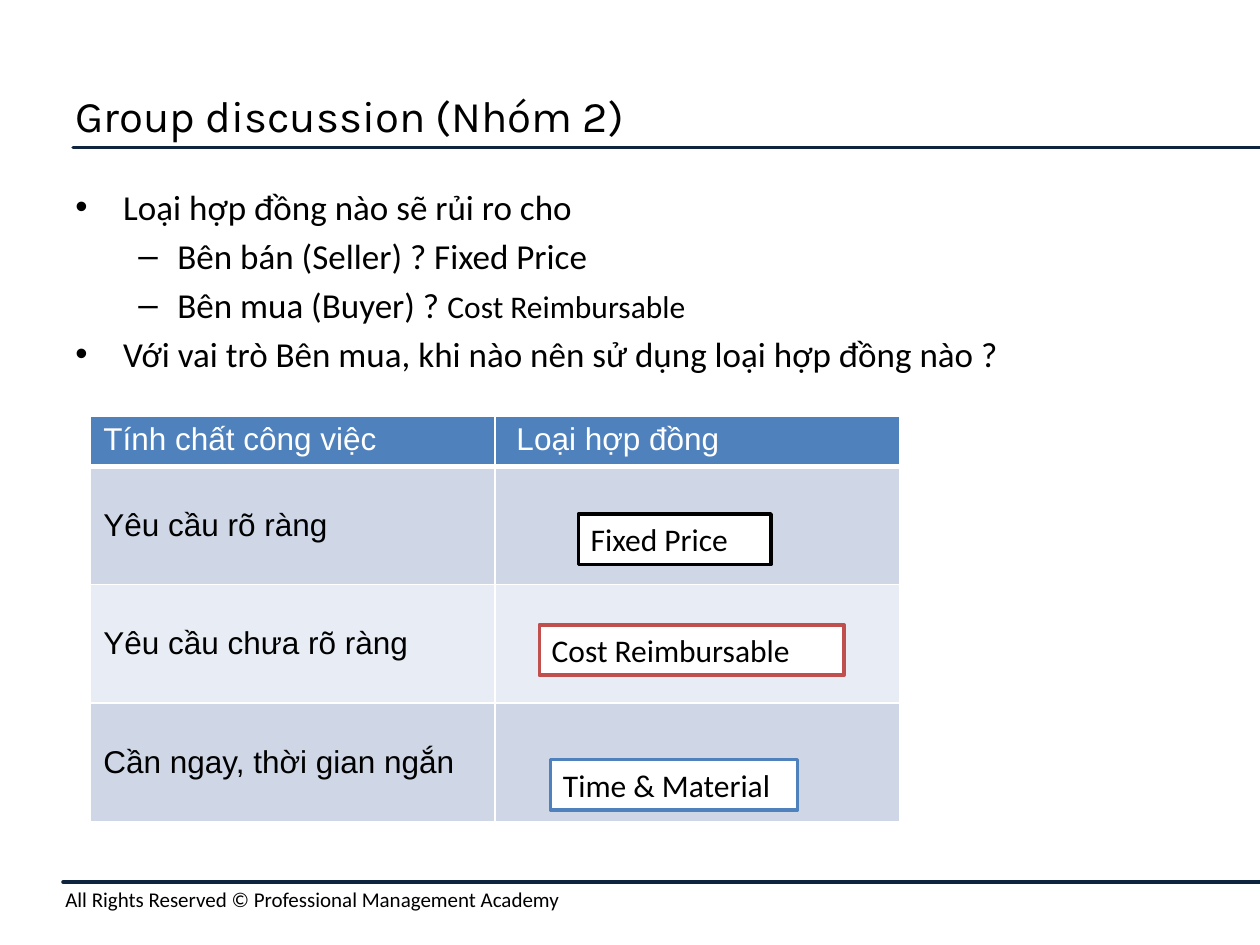
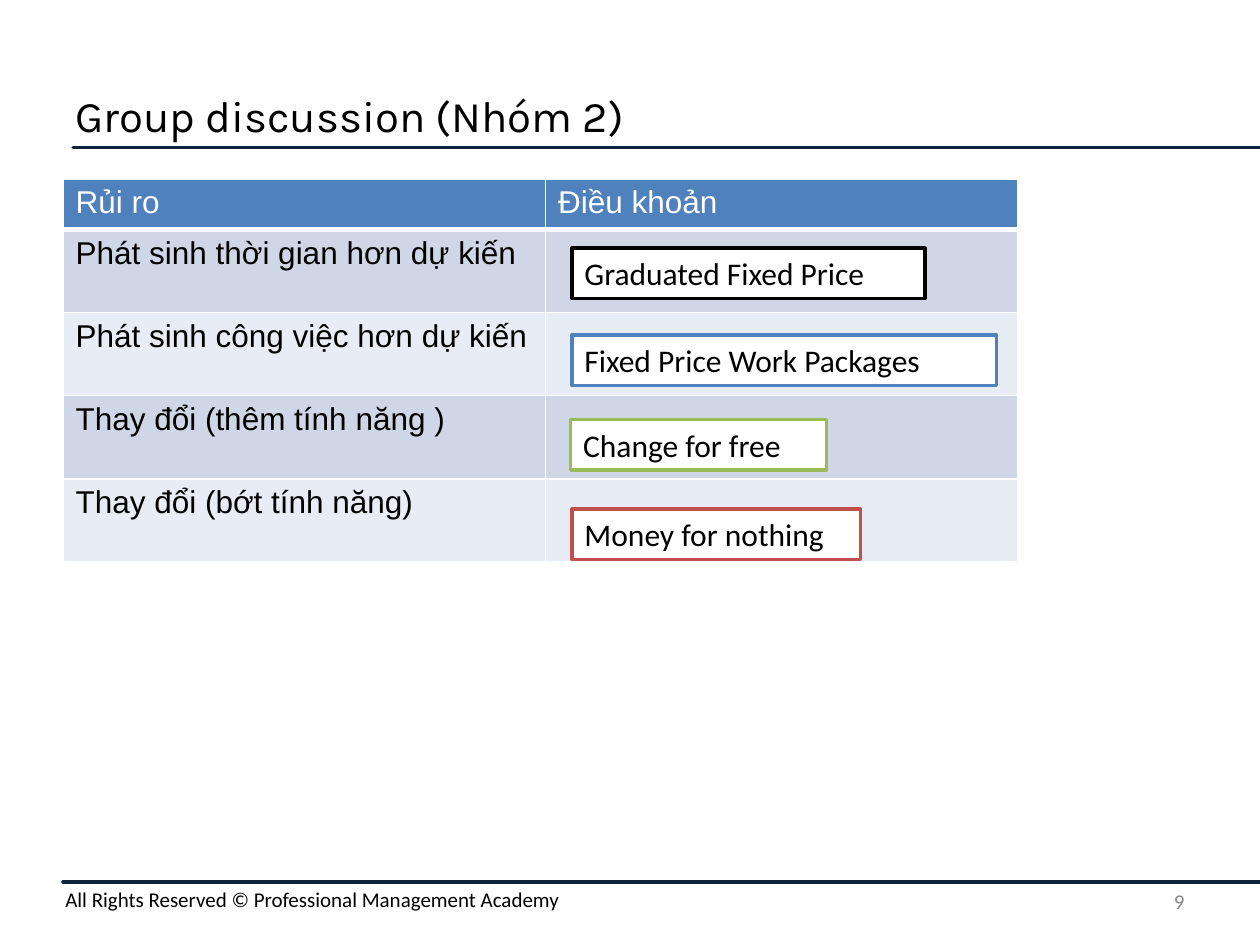
"""Build two group discussion slides on contract types and risk clauses."""
from lxml import etree
from pptx import Presentation
from pptx.dml.color import RGBColor
from pptx.enum.shapes import MSO_CONNECTOR, MSO_SHAPE
from pptx.enum.text import MSO_ANCHOR, PP_ALIGN
from pptx.oxml.ns import qn
from pptx.util import Inches, Pt

TOP, MIDDLE = MSO_ANCHOR.TOP, MSO_ANCHOR.MIDDLE
LEFT, RIGHT = PP_ALIGN.LEFT, PP_ALIGN.RIGHT
RECTANGLE, STRAIGHT = MSO_SHAPE.RECTANGLE, MSO_CONNECTOR.STRAIGHT

COLUMNS, ROWS = 40, 30
COLORS = {
    "black": "000000", "white": "FFFFFF", "navy": "0F243E", "grey": "888888",
    "blue": "4F81BD", "red": "C0504D", "green": "9BBB59",
    "band_dark": "CFD7E7", "band_light": "E8ECF4",
}
FONTS = {
    "title": ({"name": "Karla", "size": Pt(25)}, "black"),
    "body": ({"name": "Calibri", "size": Pt(20)}, "black"),
    "label": ({"name": "Calibri", "size": Pt(18)}, "black"),
    "footer": ({"name": "Calibri", "size": Pt(12)}, "black"),
    "number": ({"name": "Calibri", "size": Pt(12)}, "grey"),
    "head": ({"name": "Arial", "size": Pt(18), "bold": False}, "white"),
    "cell": ({"name": "Arial", "size": Pt(18), "bold": False}, "black"),
}
BULLETS = [("•", 1.52, 1.52), ("–", 3.24, 1.24)]
LABEL_HEIGHT = 1.6
TITLE = "Group discussion (Nhóm 2)"
FOOTER = "All Rights Reserved © Professional Management Academy"


class Painter:
    """Hold the deck style and draw elements on the current page."""

    def __init__(self):
        self.deck = Presentation()
        self.deck.slide_width, self.deck.slide_height = Inches(10), Inches(7.5)
        self.page = None

    def across(self, columns):
        return round(self.deck.slide_width * columns / COLUMNS)

    def down(self, rows):
        return round(self.deck.slide_height * rows / ROWS)

    def frame(self, left, top, width, height):
        return self.across(left), self.down(top), self.across(width), self.down(height)

    def color(self, name):
        return RGBColor.from_string(COLORS[name])

    def style(self, font, kind):
        values, color = FONTS[kind]
        for name, value in values.items():
            setattr(font, name, value)
        font.color.rgb = self.color(color)

    def add_span(self, para, text, kind):
        span = para.add_run()
        span.text = text
        self.style(span.font, kind)

    def outline(self, shape, color):
        shape.line.color.rgb = self.color(color)
        shape.line.width = Pt(2)

    def rule(self, left, top):
        line = self.page.shapes.add_connector(
            STRAIGHT, self.across(left), self.down(top), self.across(COLUMNS), self.down(top))
        self.outline(line, "navy")
        properties = line.element.spPr
        properties.find(qn("a:ln")).set("cap", "rnd")
        etree.SubElement(properties, qn("a:effectLst"))

    def text(self, place, text, kind, anchor=TOP, align=LEFT):
        box = self.page.shapes.add_textbox(*self.frame(*place))
        frame = box.text_frame
        frame.word_wrap, frame.vertical_anchor = True, anchor
        frame.paragraphs[0].alignment = align
        self.add_span(frame.paragraphs[0], text, kind)

    def bullets(self, place, items):
        frame = self.page.shapes.add_textbox(*self.frame(*place)).text_frame
        frame.word_wrap = True
        for index, (level, spans) in enumerate(items):
            para = frame.add_paragraph() if index else frame.paragraphs[0]
            mark, margin, hang = BULLETS[level]
            properties = para._p.get_or_add_pPr()
            properties.set("marL", str(self.across(margin)))
            properties.set("indent", str(-self.across(hang)))
            etree.SubElement(properties, qn("a:buFont")).set("typeface", "Arial")
            etree.SubElement(properties, qn("a:buChar")).set("char", mark)
            para.level = level
            if index:
                para.space_before = Pt(4)
            for text, kind in spans:
                self.add_span(para, text, kind)

    def borders(self, cell, row):
        widths = {"L": 1, "R": 1, "T": 3 if row == 1 else 1, "B": 1 if row else 3}
        properties = cell._tc.get_or_add_tcPr()
        for side, width in widths.items():
            line = etree.SubElement(properties, qn(f"a:ln{side}"), w=str(Pt(width)))
            fill = etree.SubElement(line, qn("a:solidFill"))
            etree.SubElement(fill, qn("a:srgbClr")).set("val", COLORS["white"])

    def table(self, left, top, widths, heights, headings, entries, anchor):
        rows = [headings] + [(entry, "") for entry in entries]
        place = self.frame(left, top, sum(widths), sum(heights))
        table = self.page.shapes.add_table(len(rows), len(widths), *place).table
        for column, width in zip(table.columns, widths):
            column.width = self.across(width)
        for row, height in zip(table.rows, heights):
            row.height = self.down(height)
        for row, texts in enumerate(rows):
            fill = ("band_dark" if row % 2 else "band_light") if row else "blue"
            for column, text in enumerate(texts):
                cell = table.cell(row, column)
                self.borders(cell, row)
                cell.fill.solid()
                cell.fill.fore_color.rgb = self.color(fill)
                cell.vertical_anchor = anchor if row else TOP
                if text:
                    self.add_span(cell.text_frame.paragraphs[0], text, "cell" if row else "head")

    def label(self, left, top, width, text, color):
        box = self.page.shapes.add_shape(
            RECTANGLE, *self.frame(left, top, width, LABEL_HEIGHT))
        box.shadow.inherit = False
        box.fill.solid()
        box.fill.fore_color.rgb = self.color("white")
        self.outline(box, color)
        frame = box.text_frame
        frame.word_wrap, frame.vertical_anchor = True, TOP
        frame.paragraphs[0].alignment = LEFT
        self.add_span(frame.paragraphs[0], text, "label")

    def start_page(self):
        self.page = self.deck.slides.add_slide(self.deck.slide_layouts[6])
        self.rule(2.32, 4.68)
        self.rule(2, 28)
        self.text((1.68, 27.96, 38.32, 1.2), FOOTER, "footer")
        self.text((2, 2, 36, 3.32), TITLE, "title", MIDDLE)


def contract_types(painter):
    painter.start_page()
    painter.bullets((2, 5.68, 36, 21.12), [
        (0, [("Loại hợp đồng nào sẽ rủi ro cho", "body")]),
        (1, [("Bên bán (Seller) ? Fixed Price", "body")]),
        (1, [("Bên mua (Buyer) ? ", "body"), ("Cost Reimbursable", "label")]),
        (0, [("Với vai trò Bên mua, khi nào nên sử dụng loại hợp đồng nào ?", "body")]),
    ])
    painter.table(
        2.88, 13.2, [12.84] * 2, [1.5] + [3.76] * 3,
        ("Tính chất công việc", " Loại hợp đồng"),
        ["Yêu cầu rõ ràng", "Yêu cầu chưa rõ ràng", "Cần ngay, thời gian ngắn"], MIDDLE)
    for label in [
        (18.36, 16.32, 6.12, "Fixed Price", "black"),
        (17.12, 19.84, 9.68, "Cost Reimbursable", "red"),
        (17.48, 24.12, 7.84, "Time & Material", "blue"),
    ]:
        painter.label(*label)


def risk_clauses(painter):
    painter.start_page()
    painter.table(
        2, 5.68, [15.32, 15], [1.6] + [2.64] * 4, ("Rủi ro", "Điều khoản"),
        ["Phát sinh thời gian hơn dự kiến", "Phát sinh công việc hơn dự kiến",
         "Thay đổi (thêm tính năng )", "Thay đổi (bớt tính năng)"], TOP)
    painter.text((28.68, 27.8, 9.32, 1.6), "9", "number", MIDDLE, RIGHT)
    for label in [
        (18.12, 13.32, 8.12, "Change for free", "green"),
        (18.16, 16.16, 9.16, "Money for nothing", "red"),
        (18.16, 7.88, 11.2, "Graduated Fixed Price", "black"),
        (18.16, 10.64, 13.48, "Fixed Price Work Packages", "blue"),
    ]:
        painter.label(*label)


def main():
    painter = Painter()
    contract_types(painter)
    risk_clauses(painter)
    painter.deck.save("out.pptx")


if __name__ == "__main__":
    main()
